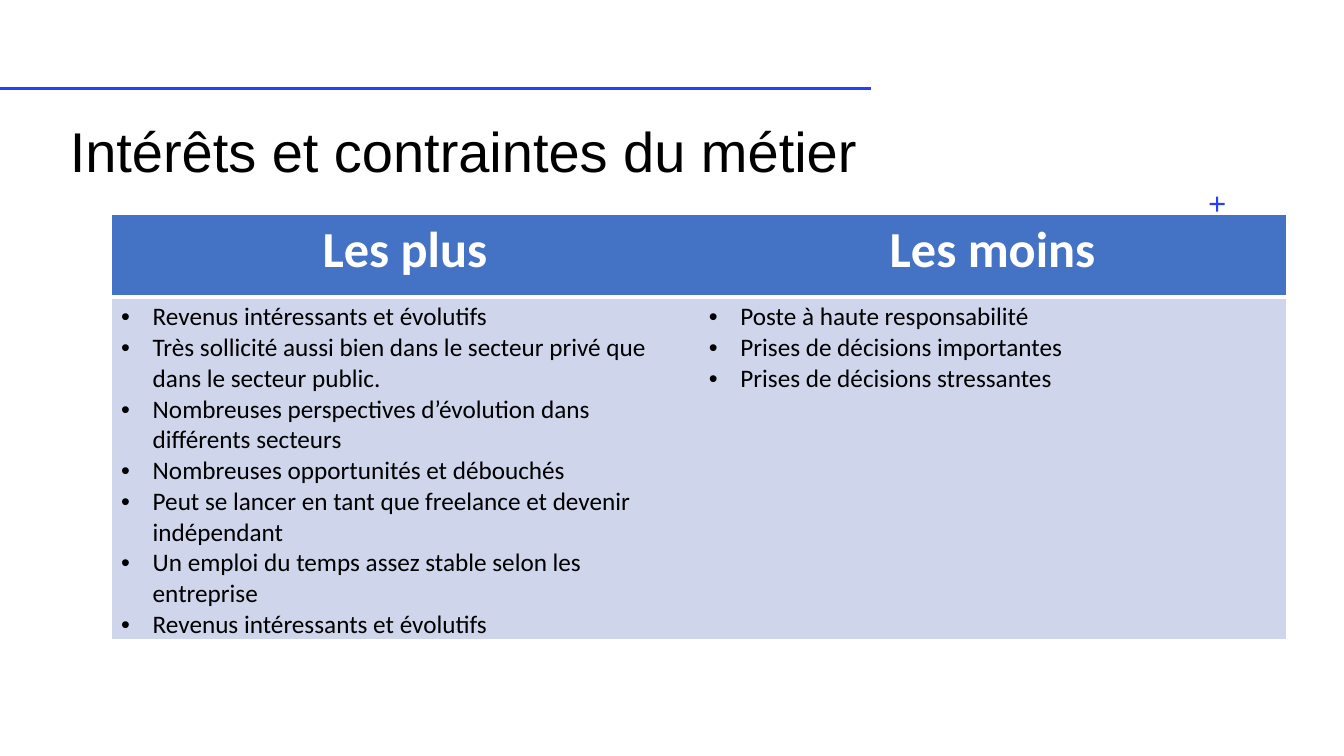
from lxml.etree import SubElement
from pptx import Presentation
from pptx.dml.color import RGBColor
from pptx.enum.shapes import MSO_CONNECTOR, MSO_SHAPE
from pptx.enum.text import MSO_ANCHOR, PP_ALIGN
from pptx.oxml.ns import qn
from pptx.util import Pt

# Content
TITLE = " Intérêts et contraintes du métier"
COLUMNS = {
    "Les plus": [
        "Revenus intéressants et évolutifs",
        "Très sollicité aussi bien dans le secteur privé que dans le secteur public.",
        "Nombreuses perspectives d’évolution dans différents secteurs",
        "Nombreuses opportunités et débouchés",
        "Peut se lancer en tant que freelance et devenir indépendant",
        "Un emploi du temps assez stable selon les entreprise",
        "Revenus intéressants et évolutifs",
    ],
    "Les moins": [
        "Poste à haute responsabilité",
        "Prises de décisions importantes",
        "Prises de décisions stressantes",
    ],
}

# Formats
ACCENT, HEADER_FILL, BODY_FILL, WHITE, BLACK = "243FFF", "4472C4", "CFD5EA", "FFFFFF", "000000"
TITLE_FONT = {"name": "Arial", "size": Pt(40), "bold": False}
HEADER_FONT = {"name": "Calibri", "size": Pt(36), "bold": True}
BODY_FONT = {"name": "Calibri", "size": Pt(18), "bold": False}
NO_GRID_STYLE = "{2D5ABB26-0587-4C30-8999-92F81FD0307C}"

# Layout in points
TABLE_LEFT, TABLE_TOP, COL_W = 79.4, 153, 419.75
ROW_HEIGHTS = (59, 245)
PLUS_SIZE, PLUS_ARM = 10.8, 1.6
INDENT = 22.5


def paint(color_format, color):
    color_format.rgb = RGBColor.from_string(color)


def add_text(p, text, font, color):
    r = p.add_run()
    r.text = text
    for name, value in font.items():
        setattr(r.font, name, value)
    paint(r.font.color, color)


def add_bullet(p):
    pPr = p._p.get_or_add_pPr()
    pPr.set("marL", str(Pt(INDENT)))
    pPr.set("indent", str(-Pt(INDENT)))
    SubElement(pPr, qn("a:buFont"), typeface="Arial")
    SubElement(pPr, qn("a:buChar"), char="•")


def fill_cell(cell, color, borders):
    tcPr = cell._tc.get_or_add_tcPr()
    for side, width in borders.items():
        ln = SubElement(tcPr, qn(f"a:ln{side}"), w=str(Pt(width)))
        SubElement(SubElement(ln, qn("a:solidFill")), qn("a:srgbClr"), val=WHITE)
    cell.fill.solid()
    paint(cell.fill.fore_color, color)


prs = Presentation()
prs.slide_width, prs.slide_height = Pt(960), Pt(540)
slide = prs.slides.add_slide(prs.slide_layouts[6])
shapes = slide.shapes

# Accent line and plus sign
line = shapes.add_connector(MSO_CONNECTOR.STRAIGHT, Pt(0), Pt(63.4), Pt(622), Pt(63.4))
line.line.width = Pt(2)
paint(line.line.color, ACCENT)
SubElement(line._element.spPr, qn("a:effectLst"))

plus = shapes.add_shape(MSO_SHAPE.CROSS, Pt(864), Pt(140.4), Pt(PLUS_SIZE), Pt(PLUS_SIZE))
plus.adjustments[0] = (1 - PLUS_ARM / PLUS_SIZE) / 2
plus.shadow.inherit = False
plus.fill.solid()
paint(plus.fill.fore_color, ACCENT)
plus.line.fill.background()

# Title
tf = shapes.add_textbox(Pt(31.7), Pt(42.5), Pt(896.4), Pt(92.9)).text_frame
tf.word_wrap = True
tf.vertical_anchor = MSO_ANCHOR.BOTTOM
tf.paragraphs[0].line_spacing = 0.9
add_text(tf.paragraphs[0], TITLE, TITLE_FONT, BLACK)

# Table of pros and cons
table = shapes.add_table(2, len(COLUMNS), Pt(TABLE_LEFT), Pt(TABLE_TOP),
                         Pt(COL_W * len(COLUMNS)), Pt(sum(ROW_HEIGHTS))).table
table._tbl.tblPr.find(qn("a:tableStyleId")).text = NO_GRID_STYLE
table.horz_banding = False
for row, height in zip(table.rows, ROW_HEIGHTS):
    row.height = Pt(height)

for col, (heading, points) in enumerate(COLUMNS.items()):
    table.columns[col].width = Pt(COL_W)
    outer = {"L": 1} if col == 0 else {"R": 1}

    header = table.cell(0, col)
    fill_cell(header, HEADER_FILL, {**outer, "T": 1, "B": 3})
    p = header.text_frame.paragraphs[0]
    p.alignment = PP_ALIGN.CENTER
    add_text(p, heading, HEADER_FONT, WHITE)

    body = table.cell(1, col)
    fill_cell(body, BODY_FILL, {**outer, "T": 3, "B": 1})
    tf = body.text_frame
    for i, point in enumerate(points):
        p = tf.add_paragraph() if i else tf.paragraphs[0]
        add_bullet(p)
        add_text(p, point, BODY_FONT, BLACK)

prs.save("out.pptx")
